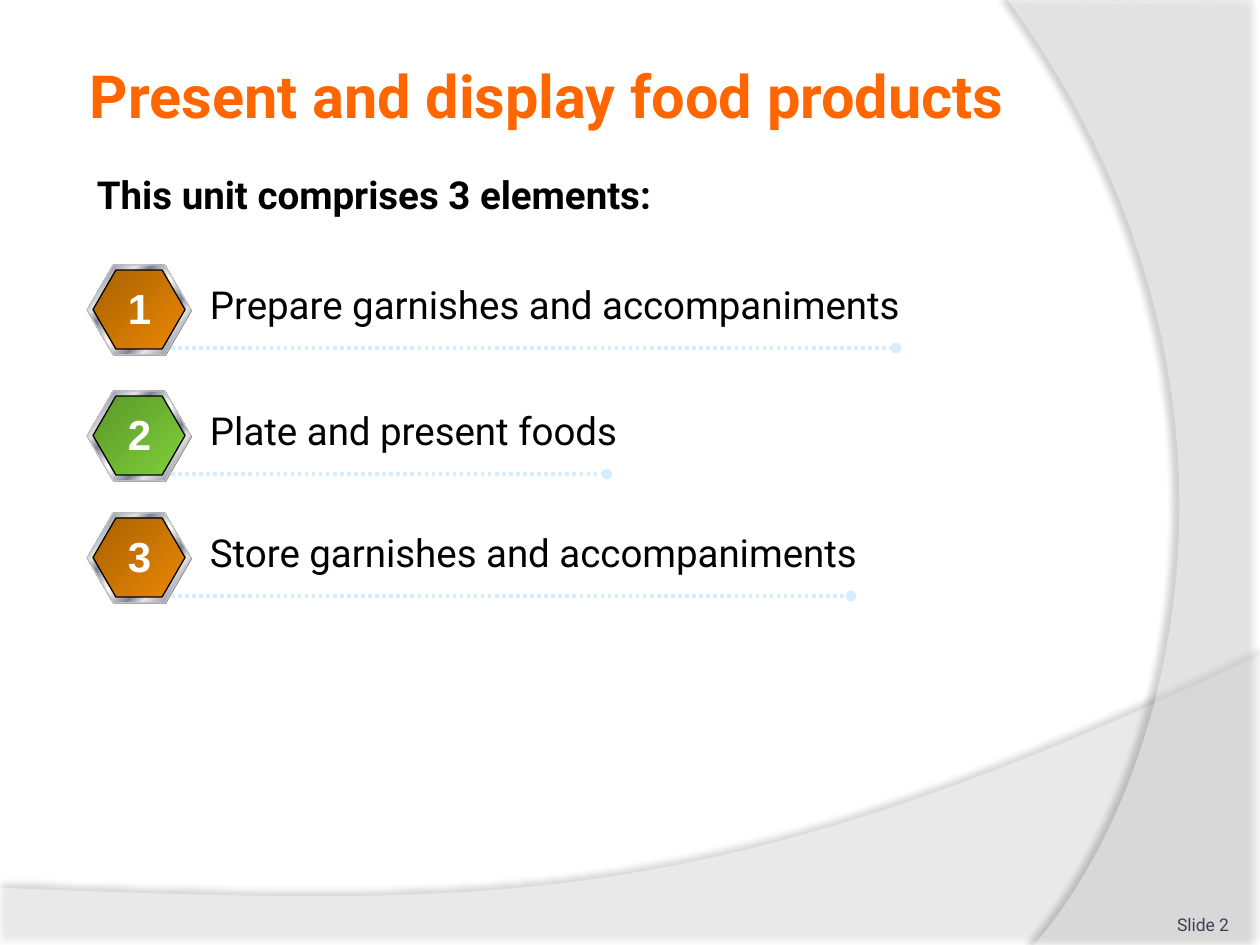
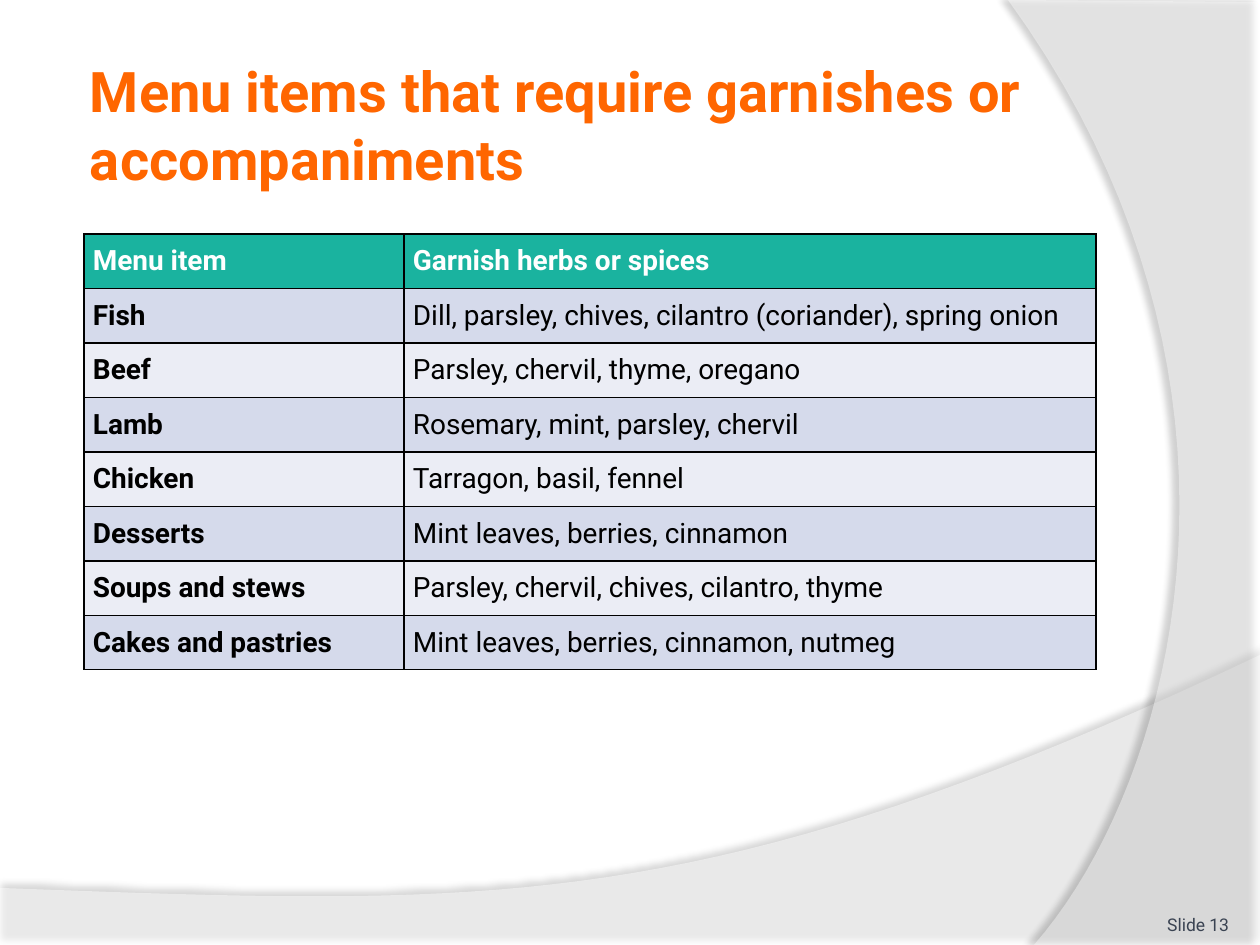
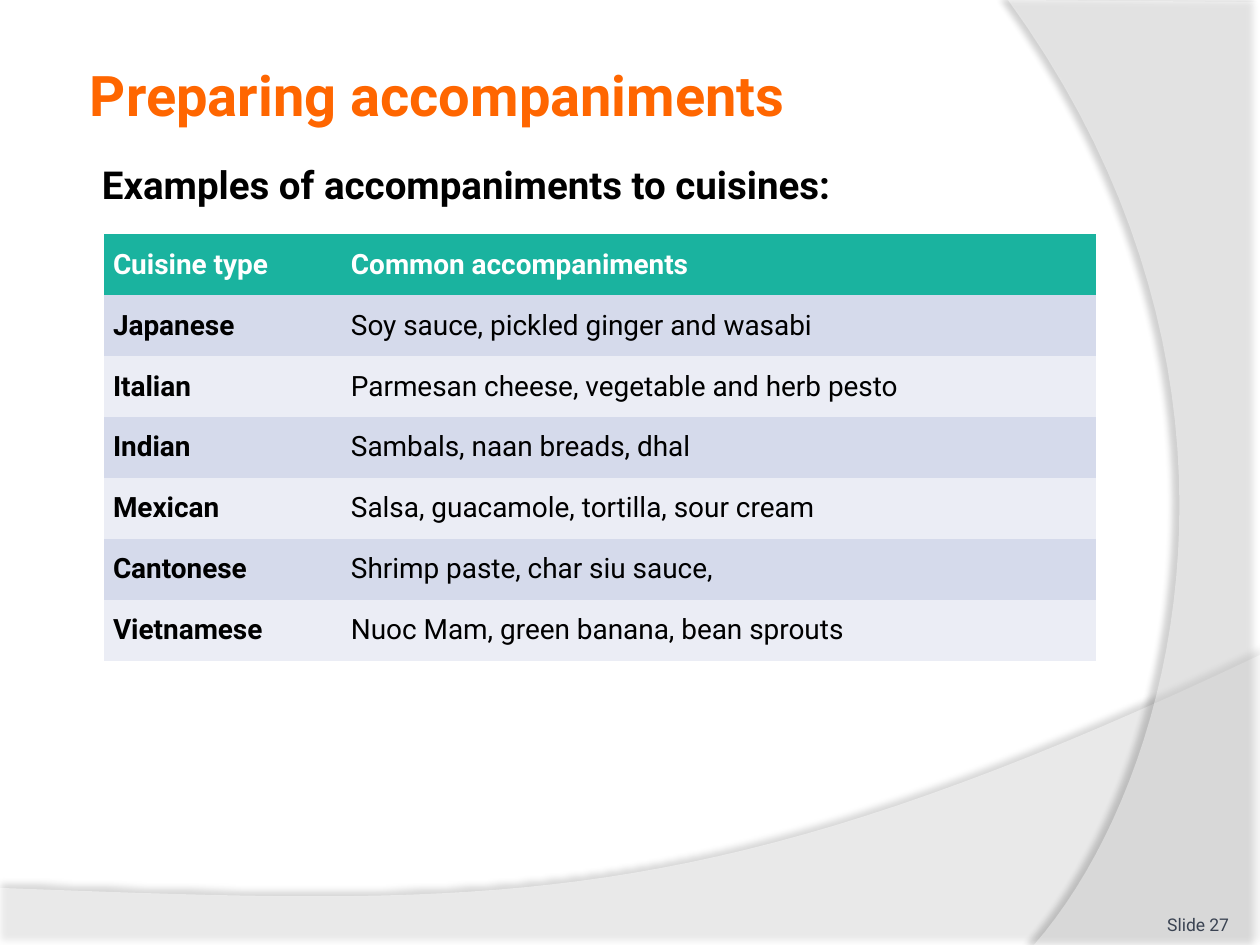
from lxml import etree
from pptx import Presentation
from pptx.dml.color import RGBColor
from pptx.enum.dml import MSO_LINE
from pptx.enum.shapes import MSO_CONNECTOR, MSO_SHAPE
from pptx.enum.text import MSO_ANCHOR, PP_ALIGN
from pptx.oxml.ns import qn
from pptx.util import Emu, Pt

LEFT, CENTER, RIGHT = PP_ALIGN.LEFT, PP_ALIGN.CENTER, PP_ALIGN.RIGHT
TOP, MIDDLE, BOTTOM = MSO_ANCHOR.TOP, MSO_ANCHOR.MIDDLE, MSO_ANCHOR.BOTTOM
HEXAGON, STRAIGHT = MSO_SHAPE.HEXAGON, MSO_CONNECTOR.STRAIGHT
DOTTED = MSO_LINE.ROUND_DOT

WHITE = RGBColor(0xFF, 0xFF, 0xFF)
BLACK = RGBColor(0x00, 0x00, 0x00)
ORANGE = RGBColor(0xFF, 0x66, 0x00)
FOOTER_GREY = RGBColor(0x3A, 0x43, 0x52)
BACK_GREY = RGBColor(0x80, 0x80, 0x80)
RIM_GREY = RGBColor(0xC0, 0xC0, 0xC0)
PALE_BLUE = RGBColor(0xD6, 0xEC, 0xFF)
HEADER_GREEN = RGBColor(0x1A, 0xB3, 0x9F)
ROW_FILLS = RGBColor(0xD5, 0xDA, 0xEB), RGBColor(0xEB, 0xED, 0xF5)
SILVER = RGBColor(0xE6, 0xE6, 0xE6)
STEEL = RGBColor(0x7D, 0x84, 0x96)
BROWN_GRADIENT = [(0, RGBColor(0xA8, 0x61, 0x02)), (100, RGBColor(0xEB, 0x88, 0x03))]
GREEN_GRADIENT = [(0, RGBColor(0x5B, 0x96, 0x2A)), (100, RGBColor(0x7F, 0xD1, 0x3B))]
METAL_GRADIENT = [(0, SILVER), (8, STEEL), (26, SILVER), (34, STEEL), (46, SILVER), (50, WHITE),
                  (54, SILVER), (66, STEEL), (74, SILVER), (92, STEEL), (100, SILVER)]

# Content
INTRO = dict(title="Present and display food products", title_size=34, number=2,
             heading="This unit comprises 3 elements:")
# text, top of hexagon, end of dotted line, text width, gradient
ELEMENTS = [
    ("Prepare garnishes and accompaniments", 265, 896, 794, BROWN_GRADIENT),
    ("Plate and present foods", 391, 607, 583, GREEN_GRADIENT),
    ("Store garnishes and accompaniments", 513, 851, 850, BROWN_GRADIENT),
]
MENU = dict(title="Menu items that require garnishes or accompaniments", title_height=158,
            number=13)
MENU_ROWS = [
    ("Menu item", "Garnish herbs or spices"),
    ("Fish", "Dill, parsley, chives, cilantro (coriander), spring onion"),
    ("Beef", "Parsley, chervil, thyme, oregano"),
    ("Lamb", "Rosemary, mint, parsley, chervil"),
    ("Chicken", "Tarragon, basil, fennel"),
    ("Desserts", "Mint leaves, berries, cinnamon"),
    ("Soups and stews", "Parsley, chervil, chives, cilantro, thyme"),
    ("Cakes and pastries", "Mint leaves, berries, cinnamon, nutmeg"),
]
CUISINES = dict(title="Preparing accompaniments", number=27)
CUISINES_HEADING = "Examples of accompaniments to cuisines:"
CUISINE_ROWS = [
    ("Cuisine type", "Common accompaniments"),
    ("Japanese", "Soy sauce, pickled ginger and wasabi"),
    ("Italian", "Parmesan cheese, vegetable and herb pesto"),
    ("Indian", "Sambals, naan breads, dhal"),
    ("Mexican", "Salsa, guacamole, tortilla, sour cream"),
    ("Cantonese", "Shrimp paste, char siu sauce,"),
    ("Vietnamese", "Nuoc Mam, green banana, bean sprouts"),
]

# Background bands: corner points, then the four Bezier points of the curved edge
BANDS = [
    dict(corners=[(0, 945), (1260, 945)],
         curve=[(1260, 655), (704, 919), (493, 906), (0, 888)],
         opacity=45, shadow=dict(opacity=35, distance=3.5, angle=270)),
    dict(corners=[(1260, 2), (1260, 945)],
         curve=[(1034, 945), (1178, 780), (1283, 378), (1008, 0)],
         opacity=40, shadow=dict(opacity=45, distance=4, angle=180)),
]
CURVE_STEPS = 40


def px(length):
    return Emu(round(length * 914400 / 126))


def add_child(parent, tag, **attributes):
    child = etree.SubElement(parent, qn(tag))
    for name, value in attributes.items():
        child.set(name, str(value))
    return child


def format_text(frame, text, size=22, color=BLACK, bold=False, font="Roboto", align=LEFT):
    paragraph = frame.paragraphs[0]
    paragraph.alignment = align
    run = paragraph.add_run()
    run.text = text
    run.font.size, run.font.name, run.font.bold = Pt(size), font, bold
    run.font.color.rgb = color


def add_text(shapes, text, left, top, width, height, insets=(13, 6), anchor=TOP,
             wrap=True, **text_format):
    box = shapes.add_textbox(px(left), px(top), px(width), px(height))
    frame = box.text_frame
    frame.word_wrap, frame.vertical_anchor = wrap, anchor
    frame.margin_left = frame.margin_right = px(insets[0])
    frame.margin_top = frame.margin_bottom = px(insets[1])
    format_text(frame, text, **text_format)


def bezier_points(curve):
    for step in range(CURVE_STEPS + 1):
        t = step / CURVE_STEPS
        weights = (1 - t) ** 3, 3 * t * (1 - t) ** 2, 3 * t ** 2 * (1 - t), t ** 3
        yield tuple(sum(w * point[axis] for w, point in zip(weights, curve)) for axis in (0, 1))


def add_band(slide, corners, curve, opacity, shadow):
    points = [(px(x), px(y)) for x, y in [*corners, *bezier_points(curve)]]
    builder = slide.shapes.build_freeform(*points[0], scale=1.0)
    builder.add_line_segments(points[1:], close=True)
    band = builder.convert_to_shape()
    band.fill.solid()
    band.fill.fore_color.rgb = WHITE
    band.line.fill.background()
    properties = band._element.spPr
    add_child(properties.find(".//" + qn("a:srgbClr")), "a:alpha", val=opacity * 1000)
    outer = add_child(add_child(properties, "a:effectLst"), "a:outerShdw", blurRad=Pt(4),
                      dist=Pt(shadow["distance"]), dir=shadow["angle"] * 60000,
                      algn="ctr", rotWithShape=0)
    color = add_child(outer, "a:srgbClr", val=BLACK)
    add_child(color, "a:alpha", val=shadow["opacity"] * 1000)


def add_slide(presentation, title, number, title_size=32, title_height=99, heading=None):
    slide = presentation.slides.add_slide(presentation.slide_layouts[6])
    for band in BANDS:
        add_band(slide, **band)
    add_text(slide.shapes, title, 84, 45, 1029, title_height, insets=(6, 6), anchor=MIDDLE,
             size=title_size, color=ORANGE, bold=True)
    if heading:
        add_text(slide.shapes, heading, 84, 165, 1042, 673, bold=True)
    add_text(slide.shapes, f"Slide {number}", 1124, 885, 105, 50, insets=(0, 0), anchor=BOTTOM,
             size=10, color=FOOTER_GREY, align=RIGHT)
    return slide


def add_hexagon(shapes, left, top, width, height, color=None, gradient=None, line=None):
    hexagon = shapes.add_shape(HEXAGON, px(left), px(top), px(width), px(height))
    hexagon.shadow.inherit = False
    hexagon.adjustments[0] = 0.29
    if gradient:
        hexagon.fill.gradient()
        hexagon.fill.gradient_angle = 315
        stops = hexagon._element.spPr.find(".//" + qn("a:gsLst"))
        for stop in list(stops):
            stops.remove(stop)
        for position, stop_color in gradient:
            stop = add_child(stops, "a:gs", pos=position * 1000)
            add_child(stop, "a:srgbClr", val=stop_color)
    else:
        hexagon.fill.solid()
        hexagon.fill.fore_color.rgb = color
    if line is None:
        hexagon.line.fill.background()
    else:
        hexagon.line.color.rgb = line
        hexagon.line.width = Pt(0.75)


def add_element(slide, number, text, top, line_end, text_width, gradient):
    shapes = slide.shapes.add_group_shape().shapes
    # Numbered badge: back plate, metal rim, coloured face
    add_hexagon(shapes, 88, top + 1, 104, 90, color=BACK_GREY)
    add_hexagon(shapes, 87, top, 104, 90, gradient=METAL_GRADIENT, line=RIM_GREY)
    add_hexagon(shapes, 93, top + 5, 92, 79, gradient=gradient, line=BLACK)
    # Dotted rule with a round end
    rule = shapes.add_connector(STRAIGHT, px(171), px(top + 83), px(line_end), px(top + 83))
    rule.line.color.rgb = PALE_BLUE
    rule.line.width = Pt(2)
    rule.line.dash_style = DOTTED
    add_child(rule.line._get_or_add_ln(), "a:tailEnd", type="oval")
    add_child(rule._element.spPr, "a:effectLst")
    add_text(shapes, text, 197, top + 10, text_width, 59)
    add_text(shapes, str(number), 115, top + 12, 49, 63, wrap=False, size=24, color=WHITE,
             bold=True, font="Arial", align=CENTER)


def set_borders(cell, color):
    properties = cell._tc.get_or_add_tcPr()
    for side in ("a:lnL", "a:lnR", "a:lnT", "a:lnB"):
        line = add_child(properties, side, w=Pt(1))
        if color is None:
            add_child(line, "a:noFill")
        else:
            add_child(add_child(line, "a:solidFill"), "a:srgbClr", val=color)


def add_table(slide, rows, left, top, column_widths, height, border=None):
    table = slide.shapes.add_table(len(rows), len(column_widths), px(left), px(top),
                                   px(sum(column_widths)), px(height)).table
    for column, width in zip(table.columns, column_widths):
        column.width = px(width)
    for row_index, texts in enumerate(rows):
        table.rows[row_index].height = px(height / len(rows))
        is_header = row_index == 0
        for column_index, text in enumerate(texts):
            cell = table.cell(row_index, column_index)
            set_borders(cell, border)
            cell.fill.solid()
            cell.fill.fore_color.rgb = HEADER_GREEN if is_header else ROW_FILLS[(row_index - 1) % 2]
            cell.vertical_anchor = MIDDLE
            cell.margin_left = cell.margin_right = px(9)
            cell.margin_top = cell.margin_bottom = px(10)
            format_text(cell.text_frame, text, size=16, color=WHITE if is_header else BLACK,
                        bold=is_header or column_index == 0)


def main():
    presentation = Presentation()
    presentation.slide_width, presentation.slide_height = px(1260), px(945)

    # Unit elements
    slide = add_slide(presentation, **INTRO)
    for number, element in enumerate(ELEMENTS, start=1):
        add_element(slide, number, *element)

    # Menu items
    slide = add_slide(presentation, **MENU)
    add_table(slide, MENU_ROWS, 84, 234, (320, 692), 436, border=BLACK)

    # Cuisines
    slide = add_slide(presentation, **CUISINES)
    add_text(slide.shapes, CUISINES_HEADING, 84, 155, 1029, 683, insets=(18, 6), bold=True)
    add_table(slide, CUISINE_ROWS, 104, 234, (238, 754), 427)

    presentation.save("out.pptx")


if __name__ == "__main__":
    main()
